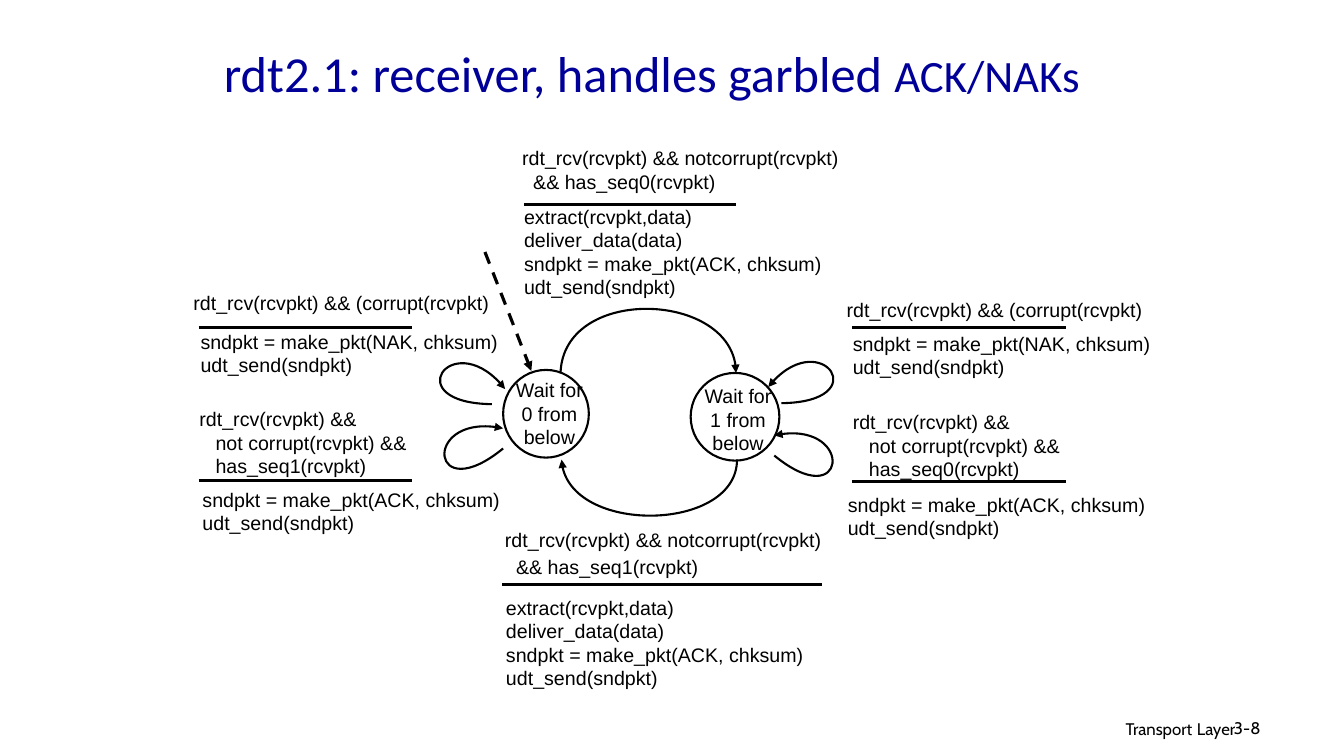
import pptx
import pptx.dml.color
import pptx.enum.dml
import pptx.enum.shapes
import pptx.enum.text
import pptx.oxml
import pptx.oxml.ns
import pptx.util
from pptx.util import Inches, Pt

ALIGN = pptx.enum.text.PP_ALIGN
SHAPE = pptx.enum.shapes.MSO_SHAPE
qn = pptx.oxml.ns.qn


def rgb(value):
    return pptx.dml.color.RGBColor.from_string(value)


class StateDiagram:
    """Style and slide of a finite state machine."""
    ink, paper, title_color = "000000", "FFFFFF", "000099"
    font, title_font, footer_font = "Arial", "Calibri", "Cabin"
    size = 14
    thin, thick = 1.5, 2.25

    def __init__(self, deck):
        self.slide = deck.slides.add_slide(deck.slide_layouts[5])
        self.shapes = self.slide.shapes

    def style(self, font, size, name, color):
        font.size, font.name = Pt(size), name
        font.color.rgb = rgb(color)

    def runs(self, paragraph, parts, name, color):
        for text, size in parts:
            run = paragraph.add_run()
            run.text = text
            self.style(run.font, size, name, color)

    def title(self, box, parts):
        heading = self.shapes.title
        heading.left, heading.top, heading.width, heading.height = map(Inches, box)
        frame = heading.text_frame
        frame.vertical_anchor = pptx.enum.text.MSO_ANCHOR.MIDDLE
        frame.paragraphs[0].alignment = ALIGN.LEFT
        self.runs(frame.paragraphs[0], parts, self.title_font, self.title_color)

    def frame(self, box, shapes=None):
        frame = (shapes or self.shapes).add_textbox(*map(Inches, box)).text_frame
        frame.word_wrap = True
        return frame

    def footer(self, box, parts, align):
        paragraph = self.frame(box).paragraphs[0]
        paragraph.alignment = align
        self.runs(paragraph, parts, self.footer_font, self.ink)

    def text(self, box, lines, indent=0, gap=0, align=ALIGN.LEFT, shapes=None):
        """Lines of text; those after the first take the indent and the gap."""
        frame = self.frame(box, shapes)
        for index, line in enumerate(lines):
            paragraph = frame.add_paragraph() if index else frame.paragraphs[0]
            paragraph.text = line
            paragraph.alignment = align
            self.style(paragraph.font, self.size, self.font, self.ink)
            if index and indent:
                paragraph._p.get_or_add_pPr().set("marL", str(Inches(indent)))
            if index and gap:
                paragraph.space_before = Pt(gap)

    def stroke(self, line, width, arrow=False):
        line.color.rgb = rgb(self.ink)
        line.width = Pt(width)
        if arrow:
            tail = pptx.oxml.parse_xml(
                f'<a:tailEnd {pptx.oxml.ns.nsdecls("a")} type="triangle"/>')
            line._get_or_add_ln().append(tail)

    def line(self, start, end, dashed_arrow=False):
        connector = self.shapes.add_connector(
            pptx.enum.shapes.MSO_CONNECTOR.STRAIGHT, *map(Inches, start + end))
        if dashed_arrow:
            connector.line.dash_style = pptx.enum.dml.MSO_LINE.DASH
        self.stroke(connector.line, self.thick, dashed_arrow)
        connector._element.spPr.append(pptx.oxml.parse_xml(
            f'<a:effectLst {pptx.oxml.ns.nsdecls("a")}/>'))

    def curve(self, *points):
        """Cubic arrow: a start point, two control points and an end point."""
        start, *controls = [(Inches(x), Inches(y)) for x, y in points]
        builder = self.shapes.build_freeform(*start)
        builder.add_line_segments(controls, close=False)
        arrow = builder.convert_to_shape()
        # Join the three straight segments into one Bezier segment
        outline = arrow._element.spPr.find(".//" + qn("a:path"))
        bezier = pptx.oxml.parse_xml(
            f'<a:cubicBezTo {pptx.oxml.ns.nsdecls("a")}/>')
        for segment in outline.findall(qn("a:lnTo")):
            bezier.append(segment[0])
            outline.remove(segment)
        outline.append(bezier)
        arrow.fill.background()
        arrow.shadow.inherit = False
        self.stroke(arrow.line, self.thin, arrow=True)

    def state(self, circle_box, label_box, number):
        group = self.shapes.add_group_shape().shapes
        circle = group.add_shape(SHAPE.OVAL, *map(Inches, circle_box))
        circle.shadow.inherit = False
        circle.fill.solid()
        circle.fill.fore_color.rgb = rgb(self.paper)
        self.stroke(circle.line, self.thin)
        self.text(label_box, ["Wait for", f"{number} from below"],
                  align=ALIGN.CENTER, shapes=group)

    def transition(self, event_box, event, indent, gap, bar, action_box, action):
        """Event above a bar, actions below it."""
        left, right, y = bar
        self.text(event_box, event, indent, gap)
        self.line((left, y), (right, y))
        self.text(action_box, action)


def reply(kind):
    return [f"sndpkt = make_pkt({kind}, chksum)", "udt_send(sndpkt)"]


def accepted(number):
    return ["rdt_rcv(rcvpkt) && notcorrupt(rcvpkt)", f"&& has_seq{number}(rcvpkt)"]


def duplicate(number):
    return ["rdt_rcv(rcvpkt) &&", "not corrupt(rcvpkt) &&", f"has_seq{number}(rcvpkt)"]


CORRUPT = ["rdt_rcv(rcvpkt) && (corrupt(rcvpkt)"]
DELIVER = ["extract(rcvpkt,data)", "deliver_data(data)"] + reply("ACK")

# event box, event, indent, gap, bar (left, right, y), action box, action
TRANSITIONS = [
    ((5.08, 1.4, 4.35, 0.62), accepted(0), 0.11, 0, (5.2, 7.3, 2.03),
     (5.1, 1.98, 3.8, 0.77), DELIVER),
    ((4.91, 5.19, 3.92, 0.62), accepted(1), 0.11, 2, (4.98, 8.15, 5.8),
     (4.92, 5.86, 4.21, 1.09), DELIVER),
    ((1.82, 2.84, 3.14, 0.67), CORRUPT, 0, 0, (1.97, 4.09, 3.25),
     (1.89, 3.22, 3.31, 0.45), reply("NAK")),
    ((1.88, 3.99, 2.87, 0.67), duplicate(1), 0.16, 0, (1.97, 4.09, 4.77),
     (1.91, 4.79, 3.22, 0.45), reply("ACK")),
    ((8.3, 2.91, 3.14, 0.67), CORRUPT, 0, 0, (8.45, 10.57, 3.25),
     (8.36, 3.24, 3.31, 0.45), reply("NAK")),
    ((8.36, 4.02, 2.87, 0.67), duplicate(0), 0.16, 0, (8.45, 10.57, 4.78),
     (8.31, 4.84, 3.22, 0.45), reply("ACK")),
]

ARROWS = [
    # between the states
    ((5.56, 3.7), (5.59, 2.84), (7.3, 2.89), (7.3, 3.7)),
    ((7.31, 4.56), (7.31, 5.27), (5.61, 5.31), (5.57, 4.56)),
    # loops on the left state
    ((4.88, 4.01), (3.95, 4), (4.5, 3.21), (5.01, 3.86)),
    ((4.99, 4.45), (4.27, 5.04), (4.18, 4.08), (4.99, 4.25)),
    # loops on the right state
    ((7.75, 4), (8.68, 3.99), (8.13, 3.2), (7.62, 3.84)),
    ((7.68, 4.52), (8.4, 5.11), (8.48, 4.15), (7.68, 4.32)),
]


def main():
    deck = pptx.Presentation()
    deck.slide_width, deck.slide_height = Inches(13.33), Inches(7.5)
    diagram = StateDiagram(deck)

    # Title and footer
    diagram.title((2.12, 0.2, 9.1, 1.03),
                  [("rdt2.1: receiver, handles garbled ", 36), ("ACK/NAKs", 32)])
    diagram.footer((8.13, 7.05, 4.22, 0.31),
                   [("Transport", 12), (" ", 14), ("Layer", 12)], ALIGN.RIGHT)
    diagram.footer((12.14, 7.07, 0.99, 0.3), [("3-8", 12)], ALIGN.LEFT)

    # States, with the entry arrow
    diagram.state((4.99, 3.67, 0.85, 0.87), (5.01, 3.7, 0.88, 0.67), 0)
    diagram.state((6.85, 3.7, 0.88, 0.87), (6.88, 3.76, 0.88, 0.67), 1)
    diagram.line((4.81, 2.5), (5.27, 3.68), dashed_arrow=True)

    # Transitions
    for points in ARROWS:
        diagram.curve(*points)
    for transition in TRANSITIONS:
        diagram.transition(*transition)

    deck.save("out.pptx")


if __name__ == "__main__":
    main()
